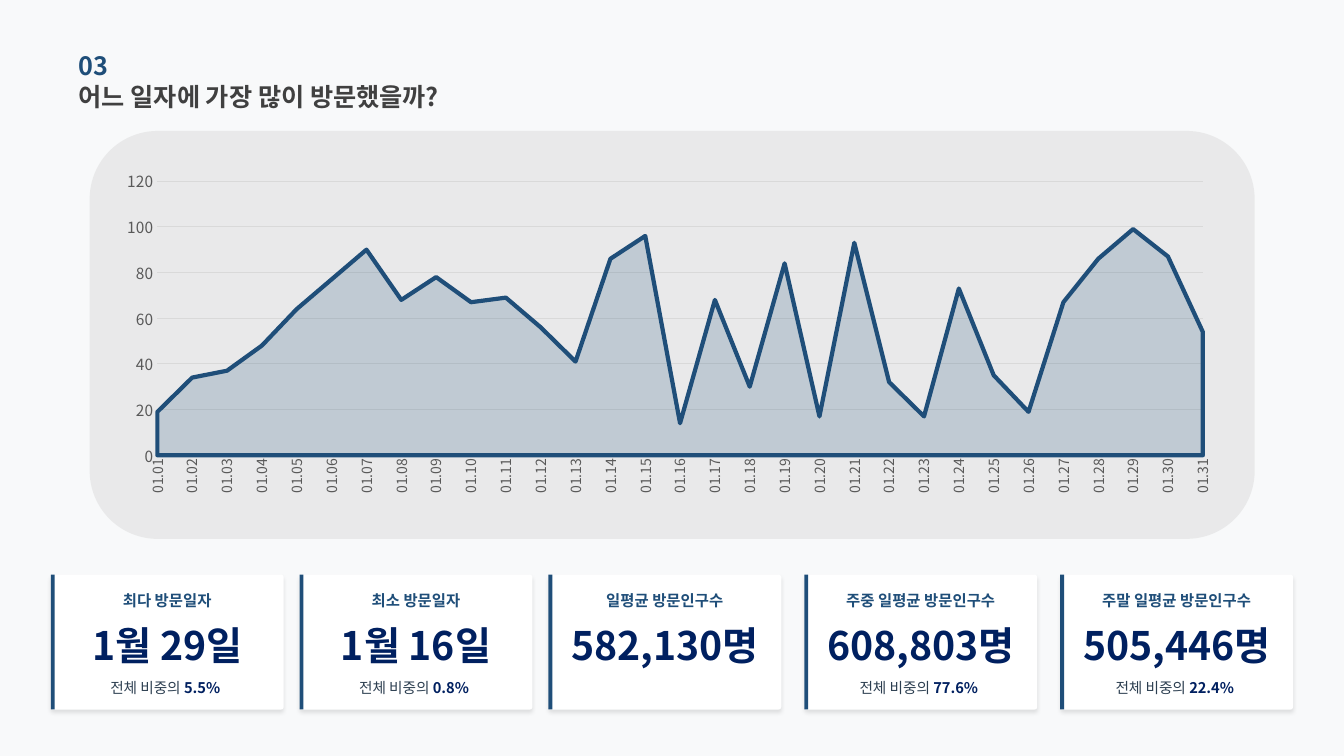
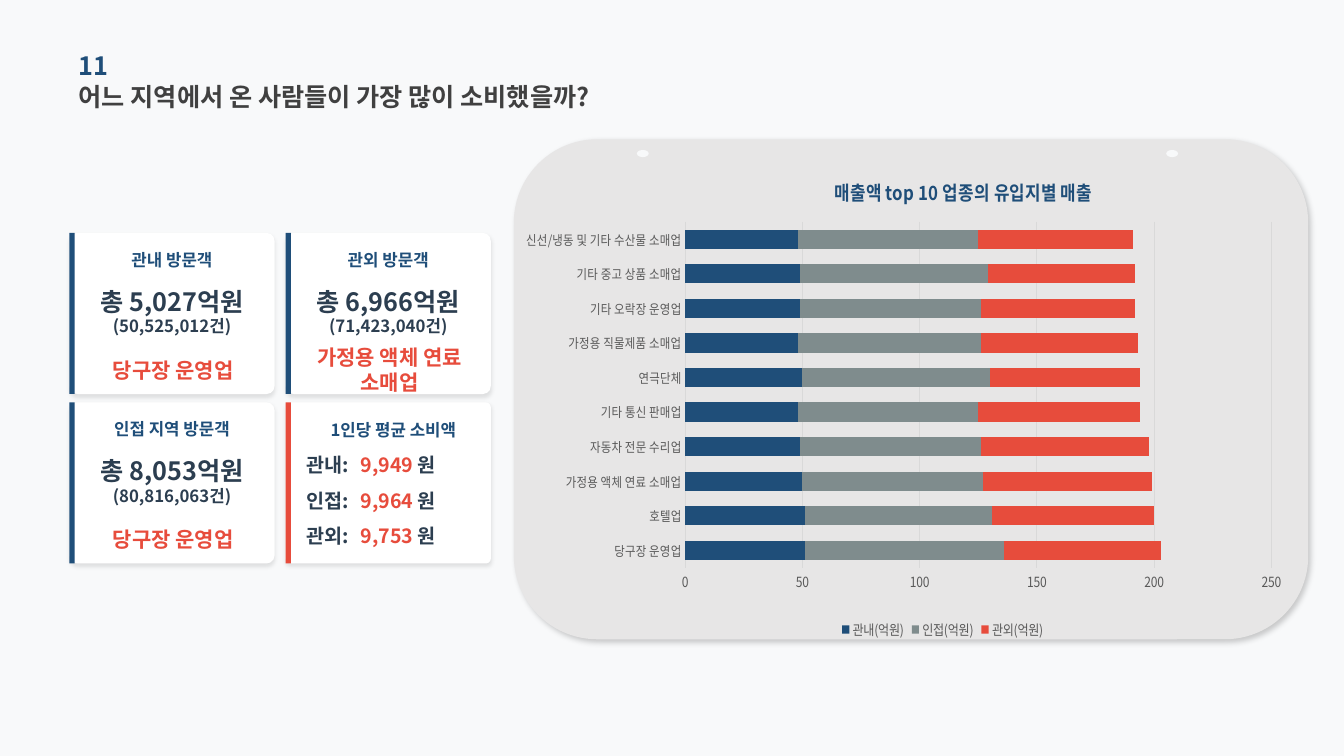
from lxml import etree
from pptx import Presentation
from pptx.chart.data import CategoryChartData
from pptx.dml.color import RGBColor
from pptx.enum.chart import XL_CHART_TYPE, XL_LEGEND_POSITION, XL_TICK_MARK
from pptx.enum.shapes import MSO_SHAPE
from pptx.enum.text import MSO_ANCHOR, MSO_AUTO_SIZE, PP_ALIGN
from pptx.oxml.ns import qn
from pptx.util import Cm, Pt

AREA, BAR = XL_CHART_TYPE.AREA, XL_CHART_TYPE.BAR_STACKED
BOTTOM = XL_LEGEND_POSITION.BOTTOM
NO_TICK = XL_TICK_MARK.NONE
RECT, ROUND, OVAL = MSO_SHAPE.RECTANGLE, MSO_SHAPE.ROUNDED_RECTANGLE, MSO_SHAPE.OVAL
MIDDLE = MSO_ANCHOR.MIDDLE
NO_FIT = MSO_AUTO_SIZE.NONE
LEFT, CENTER = PP_ALIGN.LEFT, PP_ALIGN.CENTER

FONT = "Noto Sans CJK KR"
PAPER = RGBColor(0xF8, 0xF9, 0xFA)
WHITE = RGBColor(0xFF, 0xFF, 0xFF)
BLUE = RGBColor(0x1F, 0x4E, 0x79)
NAVY = RGBColor(0x00, 0x20, 0x60)
INK = RGBColor(0x2C, 0x3E, 0x50)
DARK = RGBColor(0x40, 0x40, 0x40)
AXIS_GRAY = RGBColor(0x59, 0x59, 0x59)
GRID_GRAY = RGBColor(0xD9, 0xD9, 0xD9)
PANEL_GRAY = RGBColor(0xD0, 0xCE, 0xCE)
PANEL_LIGHT = RGBColor(0xE7, 0xE6, 0xE6)
SERIES_GRAY = RGBColor(0x7F, 0x8C, 0x8D)
RED = RGBColor(0xE7, 0x4C, 0x3C)

# Shadows: opacity %, blur pt, distance pt, direction in degrees
CARD_SHADOW = (10, 3, 2, 90)
PANEL_SHADOW = (20, 4, 3, 45)


def set_alpha(parent, percent):
    color = next(parent.iter(qn("a:srgbClr")))
    etree.SubElement(color, qn("a:alpha")).set("val", str(percent * 1000))


def add_shadow(shape, opacity, blur, distance, direction):
    effects = shape._element.spPr.find(qn("a:effectLst"))
    outer = etree.SubElement(effects, qn("a:outerShdw"), blurRad=str(Pt(blur)),
                             dist=str(Pt(distance)), dir=str(direction * 60000),
                             algn="ctr", rotWithShape="0")
    etree.SubElement(outer, qn("a:srgbClr"), val="000000")
    set_alpha(outer, opacity)


def set_east_asian_font(root):
    """Give every Latin font below root the same East Asian font."""
    for latin in list(root.iter(qn("a:latin"))):
        ea = etree.Element(qn("a:ea"), typeface=latin.get("typeface"))
        latin.addnext(ea)


def set_font(font, size, color, bold=False):
    font.name, font.size, font.bold = FONT, Pt(size), bold
    font.color.rgb = color


def write(tf, text, size=12, color=INK, bold=True, align=None, spacing=None):
    """Fill tf; text is a string or a list of paragraphs, each a list of (text, format) runs."""
    lines = [[(text, {})]] if isinstance(text, str) else text
    for i, line in enumerate(lines):
        p = tf.add_paragraph() if i else tf.paragraphs[0]
        p.alignment = align
        p.line_spacing = spacing
        for content, changes in line:
            r = p.add_run()
            r.text = content
            set_font(r.font, **({"size": size, "color": color, "bold": bold} | changes))
    return tf


def set_layout(parent, index, x, y, w=None, h=None, inner=False):
    """Place a chart part by fractions of the chart; index is its place in the parent."""
    for old in parent.findall(qn("c:layout")):
        parent.remove(old)
    layout = etree.Element(qn("c:layout"))
    manual = etree.SubElement(layout, qn("c:manualLayout"))
    values = {"xMode": "edge", "yMode": "edge", "x": x, "y": y, "w": w, "h": h}
    if inner:
        values = {"layoutTarget": "inner"} | values
    for tag, value in values.items():
        if value is not None:
            etree.SubElement(manual, qn("c:" + tag), val=str(value))
    parent.insert(index, layout)


class Deck:
    """The shared style and the current slide; places and sizes are in cm."""

    def __init__(self):
        self.prs = Presentation()
        self.prs.slide_width, self.prs.slide_height = Cm(33.87), Cm(19.05)
        fill = self.prs.slide_master.background.fill
        fill.solid()
        fill.fore_color.rgb = PAPER
        self.s = None

    def slide(self, number, title):
        self.s = self.prs.slides.add_slide(self.prs.slide_layouts[5])
        sp = self.s.shapes.title
        sp.left, sp.top, sp.width, sp.height = Cm(1.98), Cm(1.9), Cm(14), Cm(1.04)
        self.frame(sp, title, size=18, color=DARK, align=LEFT)
        self.text(number, 1.98, 1.12, 11.5, 1.04, size=18, color=BLUE)

    def frame(self, sp, text, **fmt):
        tf = sp.text_frame
        tf.word_wrap, tf.auto_size, tf.vertical_anchor = True, NO_FIT, MIDDLE
        tf.margin_left = tf.margin_top = tf.margin_right = tf.margin_bottom = 0
        write(tf, text, **fmt)
        set_east_asian_font(sp._element)

    def text(self, text, x, y, w, h, **fmt):
        sp = self.s.shapes.add_textbox(Cm(x), Cm(y), Cm(w), Cm(h))
        self.frame(sp, text, **fmt)

    def shape(self, kind, x, y, w, h, color, radius=None, shadow=None, alpha=None):
        sp = self.s.shapes.add_shape(kind, Cm(x), Cm(y), Cm(w), Cm(h))
        sp.shadow.inherit = False
        sp.fill.solid()
        sp.fill.fore_color.rgb = color
        sp.line.fill.background()
        if radius is not None:
            sp.adjustments[0] = radius
        if alpha:
            set_alpha(sp._element.spPr, alpha)
        if shadow:
            add_shadow(sp, *shadow)

    def card(self, x, y, w, h, radius, bar=0.1, color=BLUE):
        """A white card with a coloured bar on its left edge."""
        self.shape(ROUND, x, y, w, h, WHITE, radius=radius, shadow=CARD_SHADOW)
        self.shape(RECT, x, y, bar, h, color)

    def chart(self, kind, x, y, w, h, cats, series, plot, top, step, cat_size, val_size):
        data = CategoryChartData()
        data.categories = cats
        for name, values in series:
            data.add_series(name, values)
        chart = self.s.shapes.add_chart(kind, Cm(x), Cm(y), Cm(w), Cm(h), data).chart
        set_font(chart.font, 10, AXIS_GRAY)
        chart.has_title = chart.has_legend = False
        chart.plots[0].vary_by_categories = False
        cat, val = chart.category_axis, chart.value_axis
        for axis, size in ((cat, cat_size), (val, val_size)):
            axis.major_tick_mark = axis.minor_tick_mark = NO_TICK
            set_font(axis.tick_labels.font, size, AXIS_GRAY)
        cat.has_major_gridlines = False
        val.has_major_gridlines = True
        for line in (cat.format.line, val.major_gridlines.format.line):
            line.color.rgb, line.width = GRID_GRAY, Pt(0.75)
        val.format.line.fill.background()
        val.minimum_scale, val.maximum_scale, val.major_unit = 0, top, step
        set_layout(chart._chartSpace.chart.plotArea, 0, *plot, inner=True)
        return chart


def add_visits_slide(deck):
    deck.slide("03", "어느 일자에 가장 많이 방문했을까?")
    deck.shape(ROUND, 2.26, 3.3, 29.36, 10.28, PANEL_GRAY, alpha=36)

    card_w, card_h, y = 5.87, 3.4, 14.48
    cards = [
        (1.28, "최다 방문일자", "1월 29일", "5.5%"),
        (7.55, "최소 방문일자", "1월 16일", "0.8%"),
        (13.82, "일평균 방문인구수", "582,130명", None),
        (20.27, "주중 일평균 방문인구수", "608,803명", "77.6%"),
        (26.72, "주말 일평균 방문인구수", "505,446명", "22.4%"),
    ]
    for x, label, value, share in cards:
        deck.card(x, y, card_w, card_h, 0.02)
        deck.text(label, x, y + 0.37, card_w, 0.56, size=11, color=BLUE, align=CENTER)
        deck.text(value, x, y + 1.29, card_w, 0.97, size=28, color=NAVY, align=CENTER)
        if share:
            runs = [("전체 비중의 ", {"bold": False}), (share, {"color": NAVY})]
            deck.text([runs], x, y + 2.59, card_w - 0.1, 0.53, size=10.5, align=CENTER)

    days = [f"01.{day:02}" for day in range(1, 32)]
    visits = [19, 34, 37, 48, 64, 77, 90, 68, 78, 67, 69, 56, 41, 86, 96, 14, 68, 30, 84, 17,
              93, 32, 17, 73, 35, 19, 67, 86, 99, 87, 54]
    chart = deck.chart(AREA, 2.75, 3.28, 28.27, 10.36, days, [("Series 1", visits)],
                       (0.043, 0.124, 0.932, 0.667), 120, 20, 10, 11)
    series = chart.plots[0].series[0]
    series.format.fill.solid()
    series.format.fill.fore_color.rgb = BLUE
    set_alpha(series._element.spPr, 20)
    series.format.line.color.rgb, series.format.line.width = BLUE, Pt(3)
    chart.category_axis._element.find(qn("c:txPr")).find(qn("a:bodyPr")).set("rot", "-5400000")
    chart.value_axis._element.find(qn("c:crossBetween")).set("val", "midCat")
    set_east_asian_font(chart._chartSpace)


def add_spending_slide(deck):
    deck.slide("11", "어느 지역에서 온 사람들이 가장 많이 소비했을까?")
    deck.shape(ROUND, 12.95, 3.51, 20.02, 12.6, PANEL_LIGHT, shadow=PANEL_SHADOW)
    for x in (16.05, 29.39):
        deck.shape(OVAL, x, 3.78, 0.3, 0.18, PAPER)

    card_w, card_h, bar = 5.17, 4.06, 0.13
    left, right, upper, lower = 1.75, 7.2, 5.87, 10.14
    visitors = [
        (left, upper, "관내 방문객", "총 5,027억원", "(50,525,012건)", "당구장 운영업"),
        (right, upper, "관외 방문객", "총 6,966억원", "(71,423,040건)", "가정용 액체 연료 소매업"),
        (left, lower, "인접 지역 방문객", "총 8,053억원", "(80,816,063건)", "당구장 운영업"),
    ]
    for x, y, label, total, count, sector in visitors:
        deck.card(x, y, card_w, card_h, 0.05, bar)
        deck.text(label, x, y + 0.28, card_w, 0.79, color=BLUE, align=CENTER)
        deck.text([[(total, {"size": 18})], [(count, {})]], x, y + 1.41, card_w, 1.19,
                  align=CENTER, spacing=0.95)
        deck.text(sector, x + 0.08, y + 2.85, card_w - 0.1, 1.19, size=15, color=RED,
                  align=CENTER)

    deck.card(right, lower, card_w, card_h, 0.03, bar, RED)
    deck.text("1인당 평균 소비액", 8.33, lower + 0.38, 3.8, 0.64, color=BLUE)
    for i, (name, amount) in enumerate([("관내", "9,949"), ("인접", "9,964"), ("관외", "9,753")]):
        y = lower + 1.2 + 0.89 * i
        deck.text(name + ":", 7.72, y, 1.5, 0.75, size=14)
        deck.text([[(amount + " ", {"color": RED}), ("원", {})]], 9.09, y, 3, 0.75, size=14)

    sectors = ["당구장 운영업", "호텔업", "가정용 액체 연료 소매업", "자동차 전문 수리업",
               "기타 통신 판매업", "연극단체", "가정용 직물제품 소매업", "기타 오락장 운영업",
               "기타 중고 상품 소매업", "신선/냉동 및 기타 수산물 소매업"]
    sales = [
        ("관내(억원)", [51, 51, 50, 49, 48, 50, 48, 49, 49, 48]),
        ("인접(억원)", [85, 80, 77, 77, 77, 80, 78, 77, 80, 77]),
        ("관외(억원)", [67, 69, 72, 72, 69, 64, 67, 66, 63, 66]),
    ]
    chart = deck.chart(BAR, 13.26, 3.96, 19.33, 12.29, sectors, sales,
                       (0.078, 0.133, 0.889, 0.709), 250, 50, 9.5, 10)
    plot = chart.plots[0]
    plot.gap_width, plot.overlap = 80, 100
    for series, color in zip(plot.series, (BLUE, SERIES_GRAY, RED)):
        series.format.fill.solid()
        series.format.fill.fore_color.rgb = color
    chart.has_title = True
    write(chart.chart_title.text_frame, "매출액 top 10 업종의 유입지별 매출", size=14, color=BLUE)
    set_layout(chart.chart_title._element, 1, 0.3, 0.03)
    chart.has_legend = True
    chart.legend.position = BOTTOM
    chart.legend.include_in_layout = False
    set_font(chart.legend.font, 10, AXIS_GRAY)
    set_layout(chart.legend._element, 1, 0.31, 0.94)
    set_east_asian_font(chart._chartSpace)


def main():
    deck = Deck()
    add_visits_slide(deck)
    add_spending_slide(deck)
    deck.prs.save("out.pptx")


if __name__ == "__main__":
    main()
